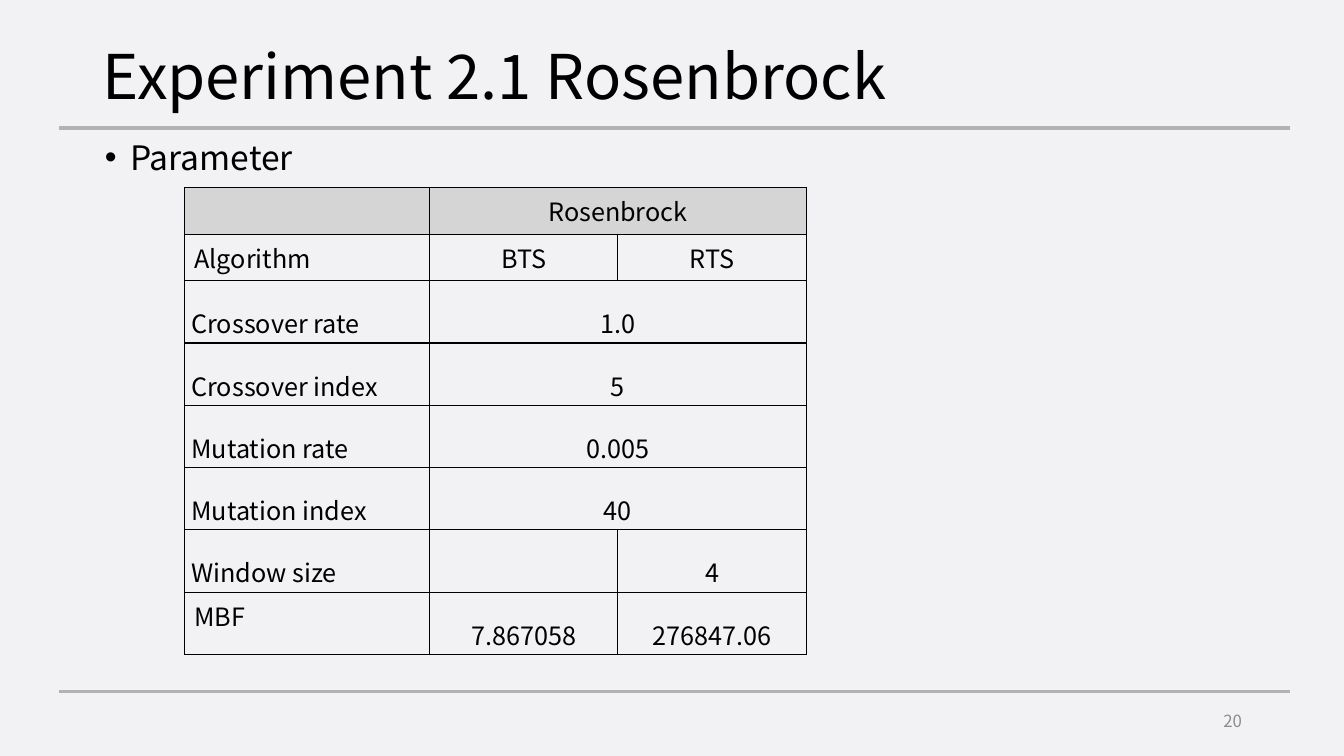
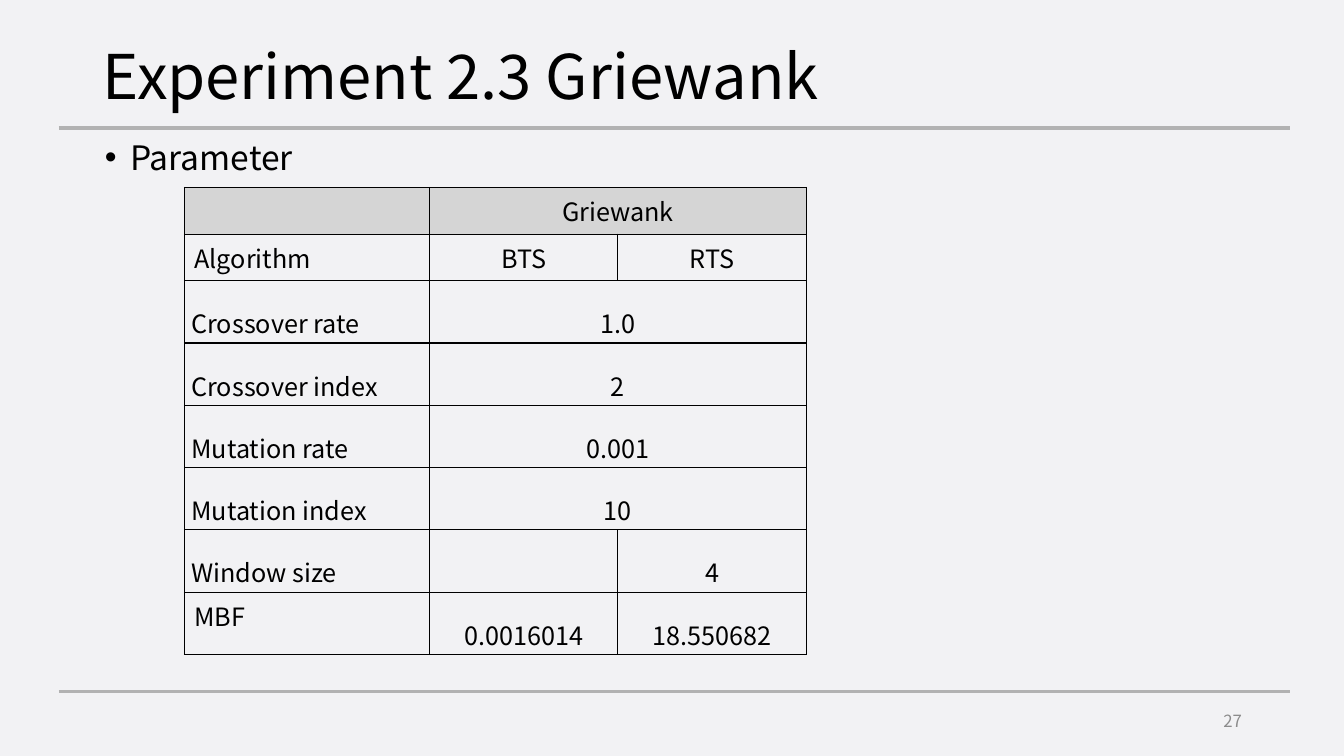
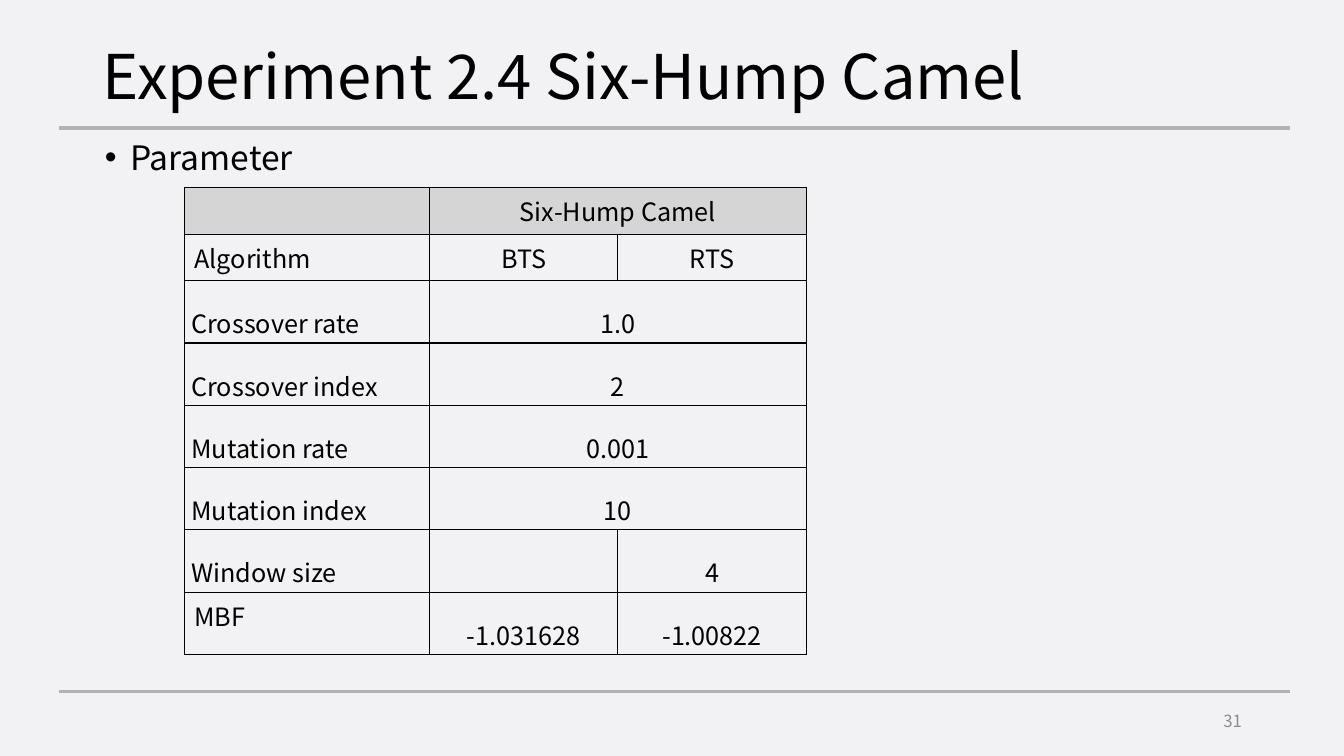
import dataclasses

import lxml.etree
import pptx
import pptx.dml.color
import pptx.enum.shapes
import pptx.enum.text
import pptx.oxml.ns
import pptx.util

Pt = pptx.util.Pt
qn = pptx.oxml.ns.qn
Align = pptx.enum.text.PP_ALIGN
Anchor = pptx.enum.text.MSO_ANCHOR


@dataclasses.dataclass(frozen=True)
class Theme:
    face: str = "Noto Sans CJK KR"
    paper: str = "F2F2F4"
    ink: str = "000000"
    rule: str = "B2B2B2"
    head: str = "D5D5D5"
    faint: str = "8C8C8C"
    title: float = 44
    body: float = 24
    cell: float = 18
    page: float = 12


LOOK = Theme()
SIZE = (960, 540)
RULES = (42, 921.5, (91.5, 494))
TITLE = (66.25, 28.75, 829.5, 56.25)
BODY = (67.75, 97.25, 828, 388.75)
TABLE = (131.75, 134, 444.25, 246)
PAGE = (678.25, 500.5, 216, 28.75)
SHARES = (0.394, 0.303, 0.303)
ROW = 29.5

DECK = [
    ("2.1", "Rosenbrock", "5", "0.005", "40", "7.867058", "276847.06", 20),
    ("2.3", "Griewank", "2", "0.001", "10", "0.0016014", "18.550682", 27),
    ("2.4", "Six-Hump Camel", "2", "0.001", "10", "-1.031628", "-1.00822", 31),
]


def color(code):
    return pptx.dml.color.RGBColor.from_string(code)


def place(shape, box):
    shape.left, shape.top, shape.width, shape.height = map(Pt, box)


def style(para, size, ink=LOOK.ink, align=Align.LEFT, lead=None):
    para.alignment = align
    para.line_spacing = lead
    font = para.font
    font.name = LOOK.face
    font.size = Pt(size)
    font.color.rgb = color(ink)


def write(shape, box, text):
    place(shape, box)
    frame = shape.text_frame
    frame.word_wrap = True
    frame.auto_size = pptx.enum.text.MSO_AUTO_SIZE.NONE
    frame.text = text
    return frame, frame.paragraphs[0]


def add_rules(slide, master):
    left, right, tops = RULES
    for top in tops:
        line = slide.shapes.add_connector(
            pptx.enum.shapes.MSO_CONNECTOR.STRAIGHT,
            Pt(left), Pt(top), Pt(right), Pt(top))
        line.line.color.rgb = color(LOOK.rule)
        line.line.width = Pt(2.25)
        lxml.etree.SubElement(line.element.spPr, qn("a:effectLst"))
        master.shapes.element.append(line.element)


def add_title(slide, box, text):
    frame, para = write(slide.shapes.title, box, text)
    frame.vertical_anchor = Anchor.MIDDLE
    style(para, LOOK.title, lead=0.9)


def add_body(slide, box, text):
    para = write(slide.placeholders[1], box, text)[1]
    props = para._p.get_or_add_pPr()
    props.set("marL", str(Pt(18)))
    props.set("indent", str(Pt(-18)))
    para.space_before = Pt(0)
    style(para, LOOK.body, lead=0.9)


def add_page(slide, box, num):
    shape = slide.shapes.add_textbox(*map(Pt, box))
    frame, para = write(shape, box, str(num))
    frame.vertical_anchor = Anchor.MIDDLE
    style(para, LOOK.page, LOOK.faint, Align.RIGHT)


def add_edges(cell):
    props = cell._tc.get_or_add_tcPr()
    for side in ("lnL", "lnR", "lnT", "lnB"):
        edge = lxml.etree.SubElement(props, qn("a:" + side), w=str(Pt(1)))
        fill = lxml.etree.SubElement(edge, qn("a:solidFill"))
        lxml.etree.SubElement(fill, qn("a:srgbClr"), val=LOOK.ink)


def fill_cell(cell, text, label, head, roomy):
    add_edges(cell)
    if head:
        cell.fill.solid()
        cell.fill.fore_color.rgb = color(LOOK.head)
    else:
        cell.fill.background()
    cell.text = text
    align = Align.LEFT if label else Align.CENTER
    if roomy:
        cell.vertical_anchor = Anchor.MIDDLE
        cell.margin_left = cell.margin_right = Pt(5)
        cell.margin_top = cell.margin_bottom = Pt(1.4)
        align = Align.JUSTIFY if label else align
    style(cell.text_frame.paragraphs[0], LOOK.cell, align=align,
          lead=1.6 if roomy else None)


def add_grid(slide, box, rows):
    frame = slide.shapes.add_table(len(rows), len(SHARES), *map(Pt, box))
    table = frame.table
    table.first_row = table.horz_banding = False
    for col, share in zip(table.columns, SHARES):
        col.width = Pt(round(box[2] * share, 2))
    for r, row in enumerate(rows):
        table.rows[r].height = Pt(ROW)
        for c in range(len(SHARES)):
            text = row[c] if c < len(row) else ""
            roomy = r > 1 and text not in ("", "MBF")
            fill_cell(table.cell(r, c), text, c == 0, r == 0, roomy)
        if len(row) < len(SHARES):
            table.cell(r, 1).merge(table.cell(r, 2))
    frame.height = Pt(box[3])


def add_trial(slide, code, name, cross, rate, index, bts, rts, num):
    add_title(slide, TITLE, f"Experiment {code} {name}")
    add_body(slide, BODY, "Parameter")
    add_grid(slide, TABLE, [
        ("", name),
        ("Algorithm", "BTS", "RTS"),
        ("Crossover rate", "1.0"),
        ("Crossover index", cross),
        ("Mutation rate", rate),
        ("Mutation index", index),
        ("Window size", "", "4"),
        ("MBF", bts, rts),
    ])
    add_page(slide, PAGE, num)


def main():
    deck = pptx.Presentation()
    deck.slide_width, deck.slide_height = map(Pt, SIZE)
    master = deck.slide_master
    master.background.fill.solid()
    master.background.fill.fore_color.rgb = color(LOOK.paper)
    slides = [deck.slides.add_slide(deck.slide_layouts[1]) for _ in DECK]
    add_rules(slides[0], master)
    for slide, trial in zip(slides, DECK):
        add_trial(slide, *trial)
    deck.save("out.pptx")


if __name__ == "__main__":
    main()
